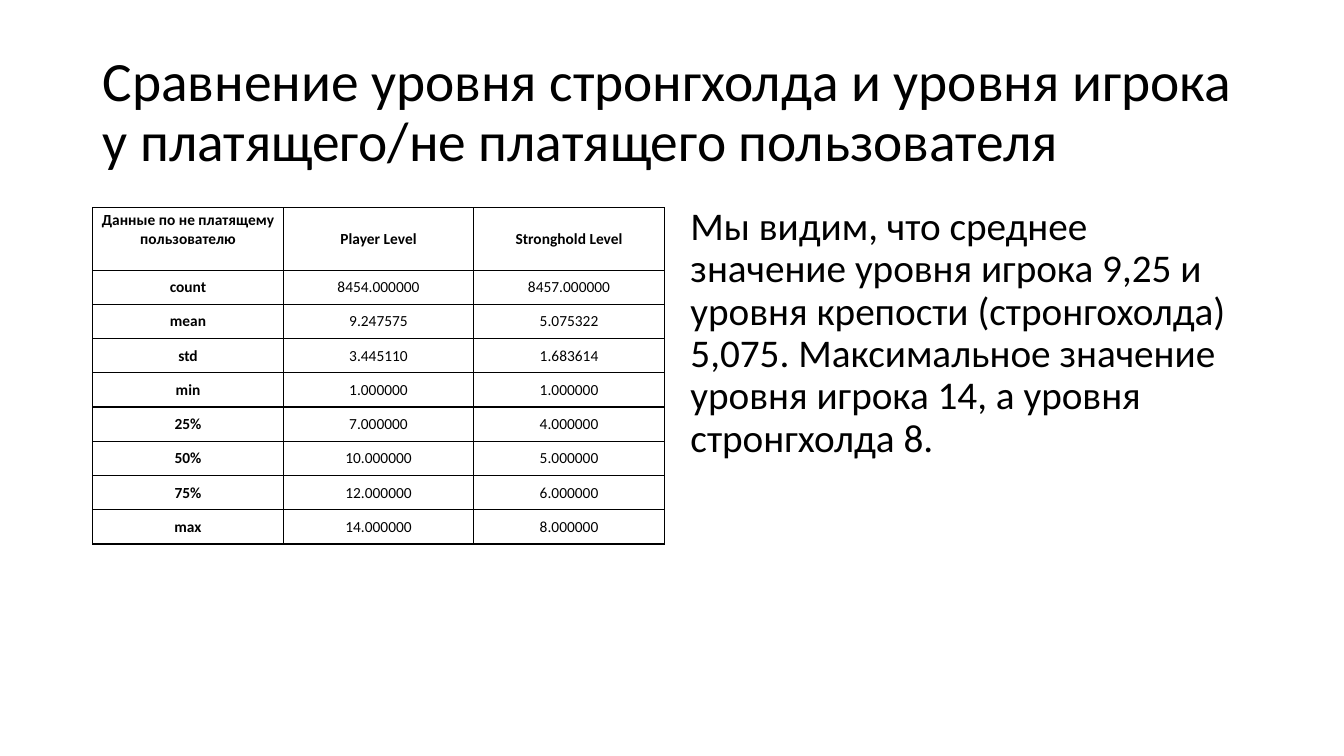
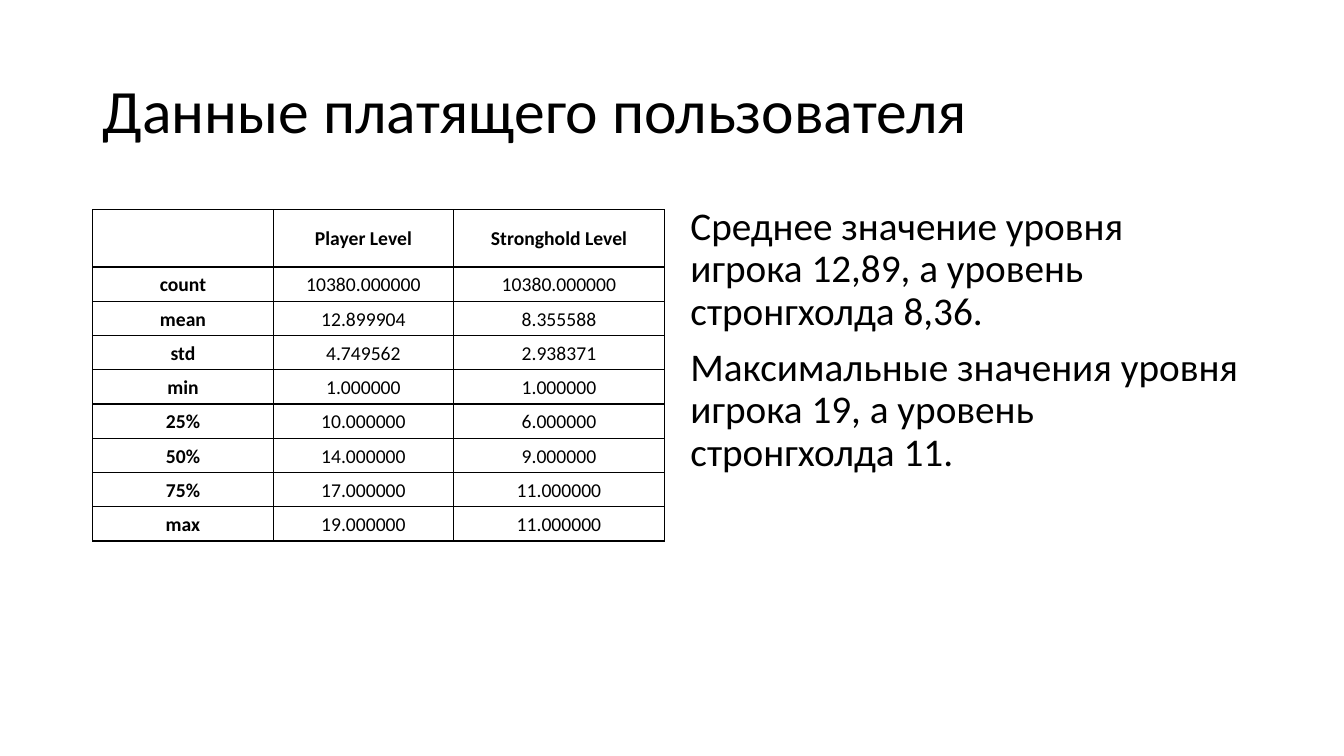
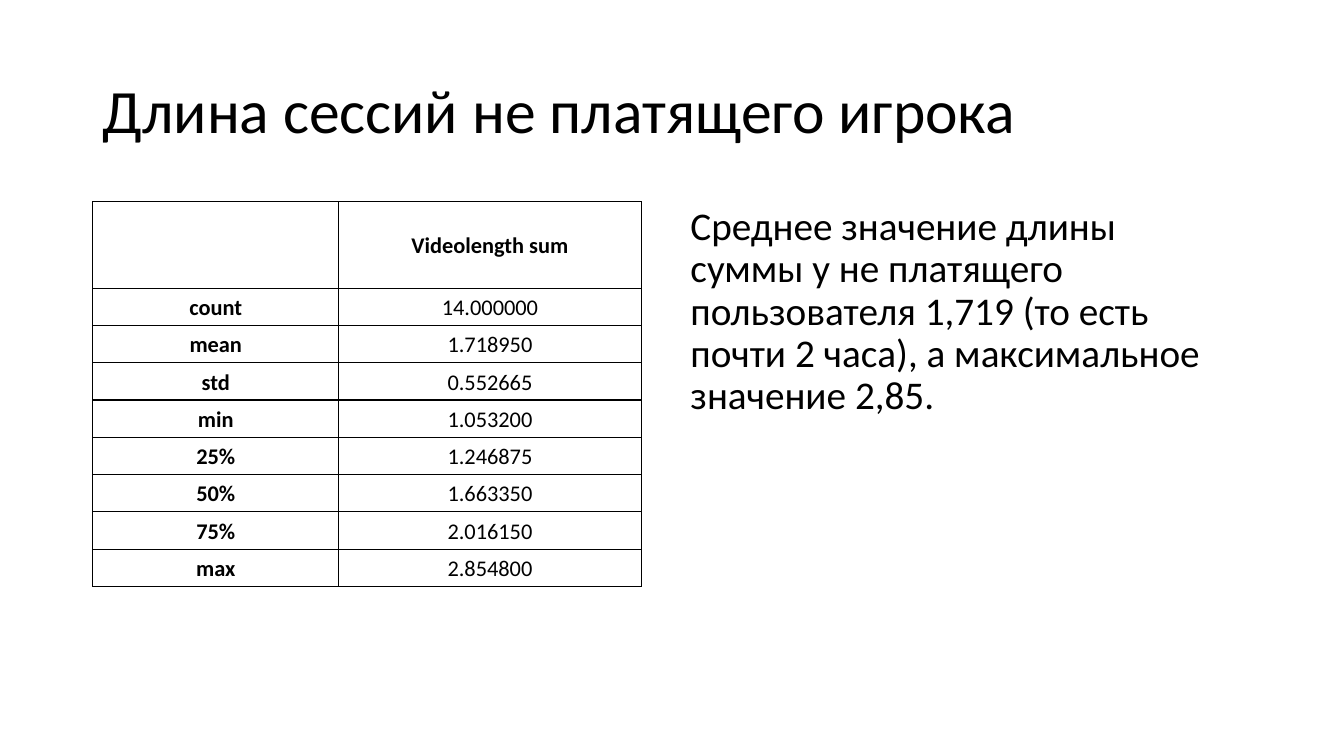
"""Build three slides that compare player statistics."""
from lxml import etree
from pptx import Presentation, util as u
from pptx.dml import color
from pptx.enum import text
from pptx.oxml import ns

INK = {"text": "000000", "line": "000000", "cell": "FFFFFF"}
STATS = ["count", "mean", "std", "min", "25%", "50%", "75%", "max"]


class Deck:
    """Hold the shared style and the current slide."""

    font = "Calibri"
    left = 0.92

    def __init__(self):
        self.prs = Presentation()
        self.prs.slide_width = u.Inches(13.33)
        self.prs.slide_height = u.Inches(7.5)

    def page(self):
        self.slide = self.prs.slides.add_slide(self.prs.slide_layouts[6])

    def run(self, para, words, size, bold=False):
        run = para.add_run()
        run.text = words
        run.font.name = self.font
        run.font.size = u.Pt(size)
        run.font.bold = bold
        run.font.color.rgb = color.RGBColor.from_string(INK["text"])

    def box(self, place, paras, size, anchor):
        frame = self.slide.shapes.add_textbox(*map(u.Inches, place)).text_frame
        frame.word_wrap = True
        frame.vertical_anchor = anchor
        for i, words in enumerate(paras):
            para = frame.add_paragraph() if i else frame.paragraphs[0]
            para.line_spacing = 0.9
            if i:
                para.space_before = u.Pt(10)
            self.run(para, words, size)

    def title(self, words, size=44):
        self.box((self.left, 0.4, 11.5, 1.45), [words], size, text.MSO_ANCHOR.MIDDLE)

    def body(self, *paras, width=5.67):
        self.box((6.75, 2, width, 4.76), paras, 28, text.MSO_ANCHOR.TOP)

    def edge(self, cell):
        props = cell._tc.get_or_add_tcPr()
        for side in ("lnL", "lnR", "lnT", "lnB"):
            line = etree.SubElement(props, ns.qn("a:" + side), w=str(u.Pt(1)))
            fill = etree.SubElement(line, ns.qn("a:solidFill"))
            etree.SubElement(fill, ns.qn("a:srgbClr"), val=INK["line"])

    def cell(self, cell, words, size, bold, pad, space):
        self.edge(cell)
        cell.fill.solid()
        cell.fill.fore_color.rgb = color.RGBColor.from_string(INK["cell"])
        cell.vertical_anchor = text.MSO_ANCHOR.MIDDLE
        cell.margin_left = cell.margin_right = u.Inches(pad[0])
        cell.margin_top = cell.margin_bottom = u.Inches(pad[1])
        para = cell.text_frame.paragraphs[0]
        para.alignment = text.PP_ALIGN.CENTER
        para.line_spacing = space
        if words:
            self.run(para, words, size, bold)

    def table(self, top, widths, head, high, step, size, data, pad=(0.04, 0.04), space=1.07):
        rows = [head] + [(name, *vals) for name, vals in zip(STATS, data)]
        tall = high + step * len(STATS)
        place = map(u.Inches, (self.left, top, sum(widths), tall))
        grid = self.slide.shapes.add_table(len(rows), len(widths), *place).table
        grid.first_row = grid.horz_banding = False
        for col, width in zip(grid.columns, widths):
            col.width = u.Inches(width)
        for r, row in enumerate(rows):
            grid.rows[r].height = u.Inches(step if r else high)
            for c, words in enumerate(row):
                self.cell(grid.cell(r, c), words, size, r == 0 or c == 0, pad, space)
        return grid


def main():
    deck = Deck()

    deck.page()
    deck.title("Сравнение уровня стронгхолда и уровня игрока у платящего/не платящего пользователя", 39.6)
    free = deck.table(
        2.06, [1.89] * 3,
        ("Данные по не платящему пользователю", "Player Level", "Stronghold Level"),
        0.62, 0.34, 11,
        [("8454.000000", "8457.000000"), ("9.247575", "5.075322"),
         ("3.445110", "1.683614"), ("1.000000", "1.000000"),
         ("7.000000", "4.000000"), ("10.000000", "5.000000"),
         ("12.000000", "6.000000"), ("14.000000", "8.000000")],
        pad=(0.06, 0.03), space=1.0)
    free.cell(0, 0).vertical_anchor = text.MSO_ANCHOR.TOP
    deck.body("Мы видим, что среднее значение уровня игрока 9,25 и уровня крепости (стронгохолда) 5,075. "
              "Максимальное значение уровня игрока 14, а уровня стронгхолда 8.")

    deck.page()
    deck.title("Данные платящего пользователя")
    deck.table(
        2.08, [1.79, 1.79, 2.09], ("", "Player Level", "Stronghold Level"), 0.57, 0.34, 14,
        [("10380.000000", "10380.000000"), ("12.899904", "8.355588"),
         ("4.749562", "2.938371"), ("1.000000", "1.000000"),
         ("10.000000", "6.000000"), ("14.000000", "9.000000"),
         ("17.000000", "11.000000"), ("19.000000", "11.000000")])
    deck.body("Среднее значение уровня игрока 12,89, а уровень стронгхолда 8,36.",
              "Максимальные значения уровня игрока 19, а уровень стронгхолда 11.")

    deck.page()
    deck.title("Длина сессий не платящего игрока")
    deck.table(
        2, [2.44, 3], ("", "Videolength sum"), 0.86, 0.37, 16,
        [("14.000000",), ("1.718950",), ("0.552665",), ("1.053200",),
         ("1.246875",), ("1.663350",), ("2.016150",), ("2.854800",)])
    deck.body("Среднее значение длины суммы у не платящего пользователя 1,719 "
              "(то есть почти 2 часа), а максимальное значение 2,85.", width=5.53)

    deck.prs.save("out.pptx")


if __name__ == "__main__":
    main()
